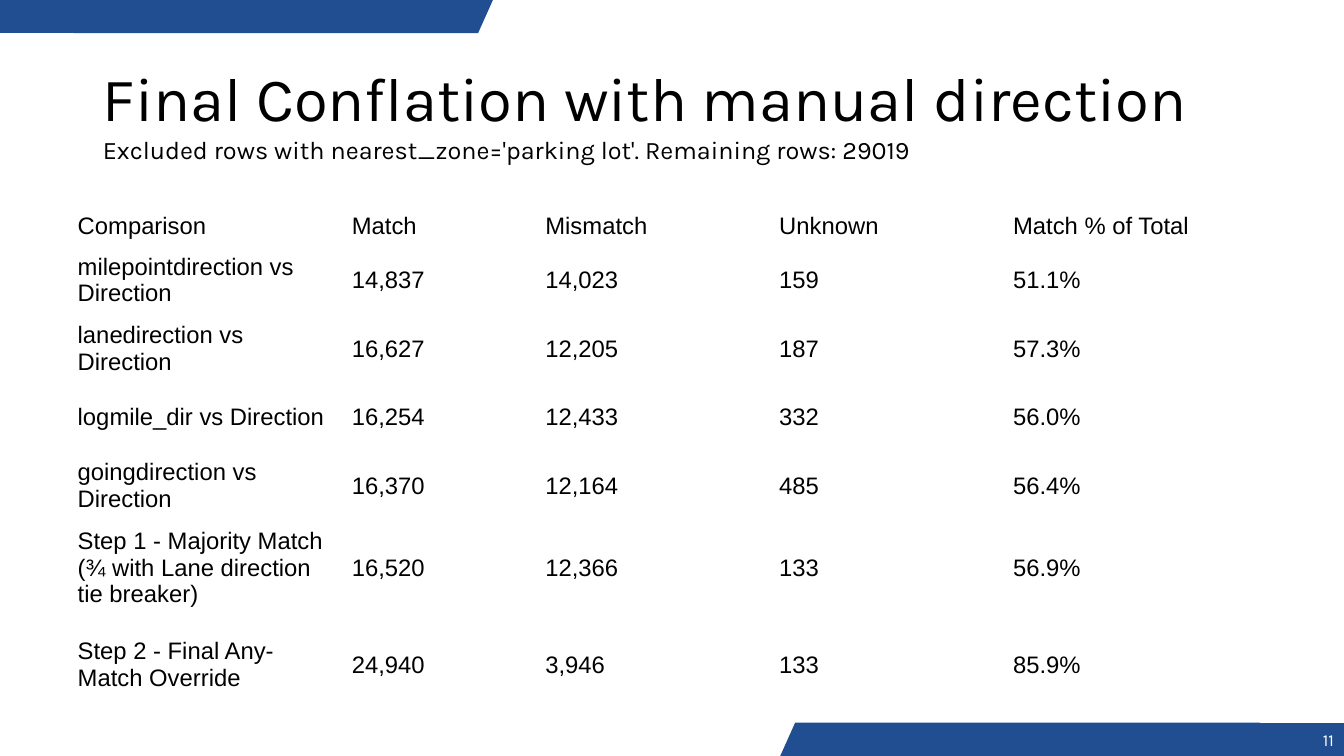
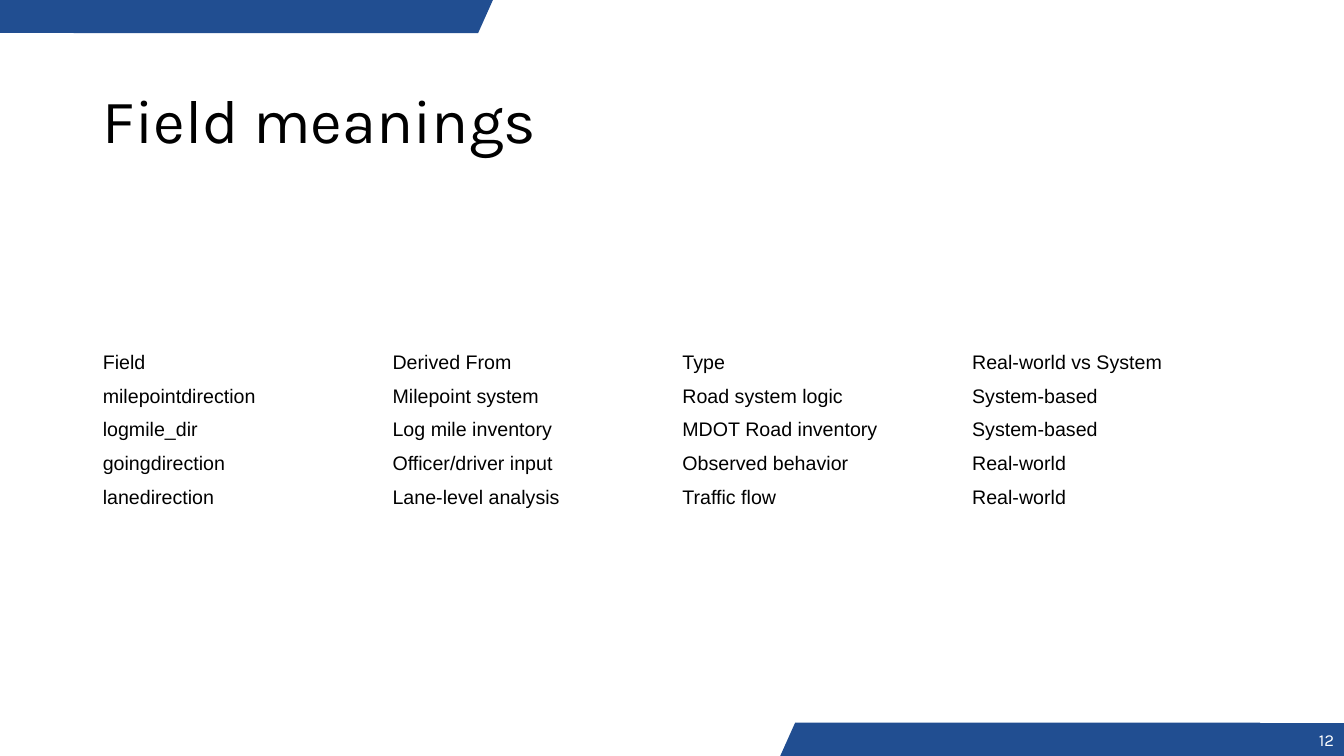
import pptx
import pptx.dml.color
import pptx.enum.shapes
import pptx.enum.text
import pptx.util

SLIDE_WIDTH = pptx.util.Inches(13.33)
SLIDE_HEIGHT = pptx.util.Inches(7.5)
BLUE, BLACK, WHITE = "214E91", "000000", "FFFFFF"
HEADING_FONT, TABLE_FONT = "Karla", "Arial"
MARGIN, CONTENT_WIDTH = 6.9, 86.25
BAND_HEIGHT = 4.4
FOOTER_TOP = 100 - BAND_HEIGHT
SLANT = 0.447
BANDS = [
    (58.05, FOOTER_TOP, 35.7, SLANT, 180),
    (69.3, FOOTER_TOP, 30.7, 0, 180),
    (5.48, 0, 31.2, SLANT, 0),
    (0, 0, 26.85, 0, 0),
]

COMPARISONS = [
    ["Comparison", "Match", "Mismatch", "Unknown", "Match % of Total"],
    ["milepointdirection vs Direction", "14,837", "14,023", "159", "51.1%"],
    ["lanedirection vs Direction", "16,627", "12,205", "187", "57.3%"],
    ["logmile_dir vs Direction", "16,254", "12,433", "332", "56.0%"],
    ["goingdirection vs Direction", "16,370", "12,164", "485", "56.4%"],
    ["Step 1 - Majority Match (¾ with Lane direction tie breaker)",
     "16,520", "12,366", "133", "56.9%"],
    ["Step 2 - Final Any-Match Override", "24,940", "3,946", "133", "85.9%"],
]
FIELDS = [
    ["Field", "Derived From", "Type", "Real-world vs System"],
    ["milepointdirection", "Milepoint system", "Road system logic", "System-based"],
    ["logmile_dir", "Log mile inventory", "MDOT Road inventory", "System-based"],
    ["goingdirection", "Officer/driver input", "Observed behavior", "Real-world"],
    ["lanedirection", "Lane-level analysis", "Traffic flow", "Real-world"],
]


def across(percent):
    return round(SLIDE_WIDTH * percent / 100)


def down(percent):
    return round(SLIDE_HEIGHT * percent / 100)


def box(left, top, width, height):
    return across(left), down(top), across(width), down(height)


def color(hex_code):
    return pptx.dml.color.RGBColor.from_string(hex_code)


def style(run, font_name, size, hex_code):
    run.font.name = font_name
    run.font.size = pptx.util.Pt(size)
    run.font.bold = False
    run.font.color.rgb = color(hex_code)


def add_band(slide, left, top, width, slant, rotation):
    band = slide.shapes.add_shape(
        pptx.enum.shapes.MSO_SHAPE.PARALLELOGRAM, *box(left, top, width, BAND_HEIGHT))
    band.adjustments[0] = slant
    band.rotation = rotation
    band.shadow.inherit = False
    band.fill.solid()
    band.fill.fore_color.rgb = color(BLUE)
    band.line.fill.background()


def add_page_number(slide, number):
    page = slide.shapes.add_textbox(*box(96.1, FOOTER_TOP, 3.9, BAND_HEIGHT))
    frame = page.text_frame
    frame.word_wrap = True
    frame.vertical_anchor = pptx.enum.text.MSO_ANCHOR.MIDDLE
    frame.text = str(number)
    frame.paragraphs[0].alignment = pptx.enum.text.PP_ALIGN.RIGHT
    style(frame.paragraphs[0].runs[0], HEADING_FONT, 12, WHITE)


def set_title(slide, height, lines):
    title = slide.shapes.title
    title.left, title.top, title.width, title.height = box(MARGIN, 6, CONTENT_WIDTH, height)
    frame = title.text_frame
    frame.text = "\v".join(lines)
    frame.vertical_anchor = pptx.enum.text.MSO_ANCHOR.MIDDLE
    heading = frame.paragraphs[0]
    heading.alignment = pptx.enum.text.PP_ALIGN.LEFT
    for run, size in zip(heading.runs, (44, 18)):
        style(run, HEADING_FONT, size, BLACK)


def add_plain_table(slide, left, top, columns, rows, entries, size):
    table = slide.shapes.add_table(
        len(rows), len(columns), *box(left, top, sum(columns), sum(rows))).table
    table.first_row = False
    table.horz_banding = False
    for column, width in zip(table.columns, columns):
        column.width = across(width)
    for row, height, texts in zip(table.rows, rows, entries):
        row.height = down(height)
        for cell, text in zip(row.cells, texts):
            cell.fill.background()
            cell.vertical_anchor = pptx.enum.text.MSO_ANCHOR.MIDDLE
            cell.text_frame.text = text
            style(cell.text_frame.paragraphs[0].runs[0], TABLE_FONT, size, BLACK)


def start_slide(deck, number, title_height, title_lines):
    slide = deck.slides.add_slide(deck.slide_layouts.get_by_name("Title Only"))
    for band in BANDS:
        add_band(slide, *band)
    set_title(slide, title_height, title_lines)
    add_page_number(slide, number)
    return slide


def main():
    deck = pptx.Presentation()
    deck.slide_width, deck.slide_height = SLIDE_WIDTH, SLIDE_HEIGHT

    conflation = start_slide(deck, 11, 17.73, [
        "Final Conflation with manual direction",
        "Excluded rows with nearest_zone='parking lot'. Remaining rows: 29019",
    ])
    add_plain_table(conflation, 5.03, 27.33, [20.4, 14.4] + [17.4] * 3,
                    [5.2] + [9.07] * 4 + [12, 12.93], COMPARISONS, 17)

    meanings = start_slide(deck, 12, 19.33, ["Field meanings"])
    add_plain_table(meanings, MARGIN, 45.73, [CONTENT_WIDTH / 4] * 4,
                    [4.27] * len(FIELDS), FIELDS, 14)

    deck.save("out.pptx")


if __name__ == "__main__":
    main()
